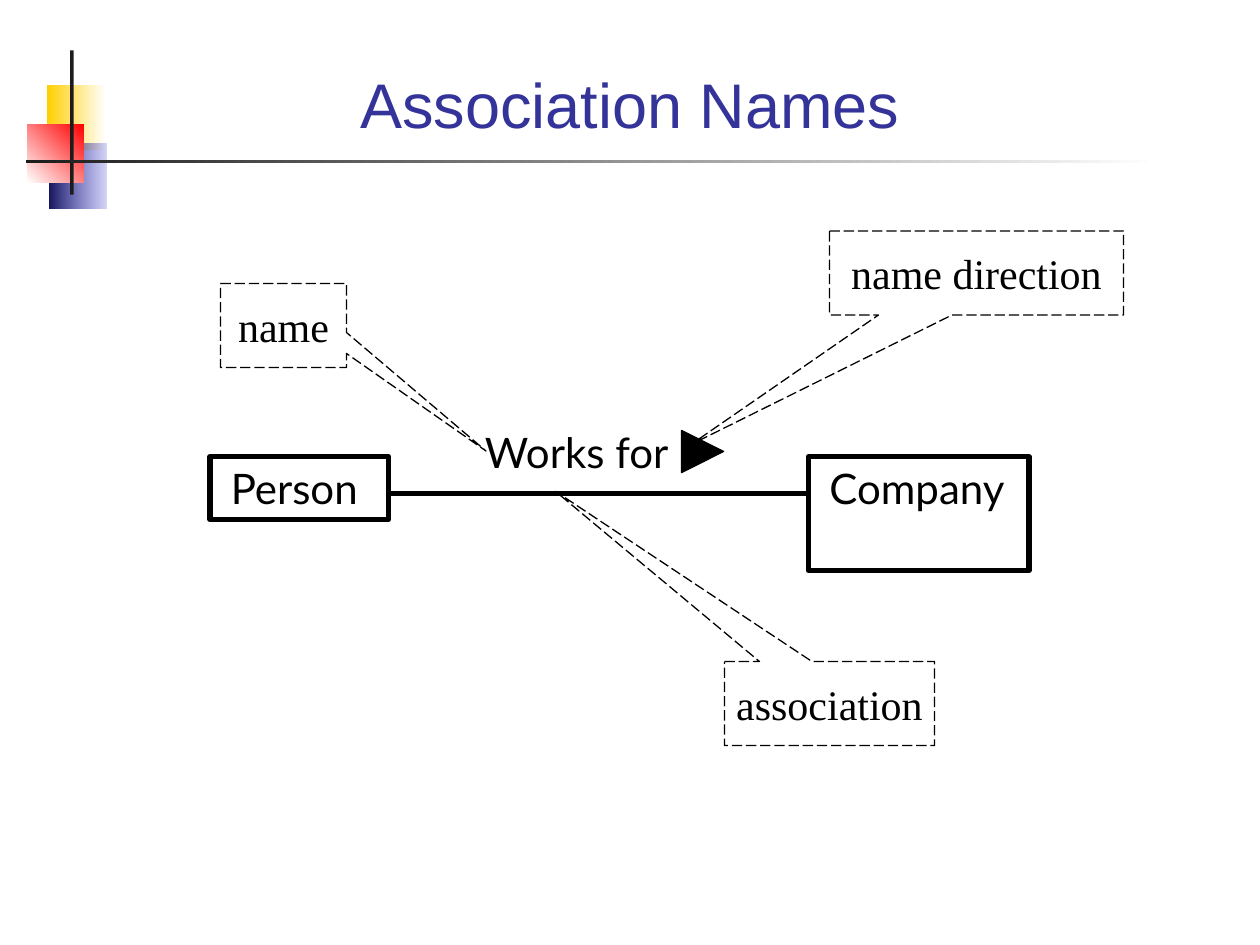
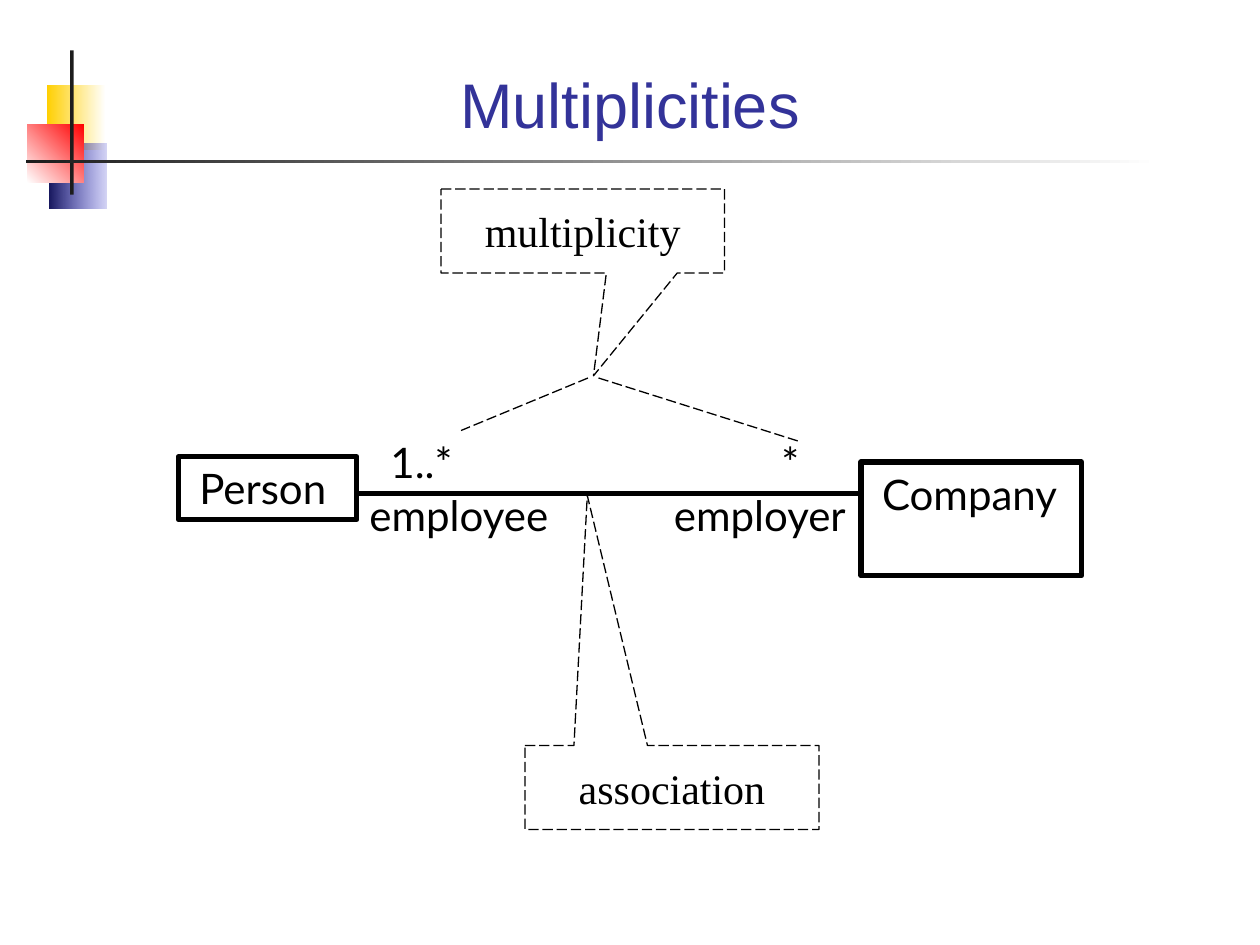
import pptx
import pptx.dml.color
import pptx.enum.dml
import pptx.enum.shapes
import pptx.enum.text
import pptx.oxml.ns
import pptx.util
from lxml import etree

Pt = pptx.util.Pt
SHAPES = pptx.enum.shapes.MSO_SHAPE
ANCHORS = pptx.enum.text.MSO_ANCHOR
ALIGN = pptx.enum.text.PP_ALIGN
DASH = pptx.enum.dml.MSO_LINE.LONG_DASH
qn = pptx.oxml.ns.qn

BLACK, TITLE_BLUE, RULE_GREY = "000000", "333399", "1C1C1C"
THIN, THICK = 0.75, 3

# Left, top, width, height, start colour, end colour, angle
GRADIENT_BLOCKS = [
    (26.8, 48.5, 33.6, 37.2, "FFFFFF", "FFCF01", 180),
    (28.1, 81.8, 32.8, 37.6, "3333CC", "17175E", 180),
    (15.5, 71, 32.5, 33.4, "FF0000", "FFFFFF", 225),
]
VERTICAL_RULE = (40.1, 28.8, 2, 82.4, RULE_GREY, RULE_GREY, 180)
HORIZONTAL_RULE = (15, 91.2, 647.5, 1.9, "FFFFFF", RULE_GREY, 180)

# Callouts: text, left, top, width, pointer x and y
# Classes: text, left, top, width, height
# Labels: text, left, top, left inset
# Connectors: x1, y1, x2, y2, width
SLIDES = [
    {
        "title": ("Association Names", 69, 30, 582, 54),
        "callouts": [
            ("name", 126, 162, 72, 1.608, 1.495),
            ("association", 414, 378, 120, -1.305, -2.526),
            ("name direction", 474, 132, 168, -0.972, 2.044),
        ],
        "classes": [("Person", 120, 261, 102, 36), ("Company", 462, 261, 126, 65)],
        "connectors": [(222, 282, 462, 282, THICK)],
        "labels": [("Works for", 270, 240, 7.2)],
        "direction_arrows": [(389.5, 246, 24)],
    },
    {
        "title": ("Multiplicities", 48, 24, 624, 60),
        "callouts": [
            ("multiplicity", 252, 108, 162, 0.038, 1.724),
            ("association", 300, 426, 168, -0.288, -3.477),
        ],
        "classes": [("Person", 102, 261, 102, 36), ("Company", 492, 264, 126, 65)],
        "connectors": [
            (204, 282, 492, 282, THICK),
            (336, 216, 263.5, 246, THIN),
            (342, 216, 456, 252, THIN),
        ],
        "labels": [
            ("employee", 204, 276, 7.2),
            ("employer", 378, 276, 7.2),
            ("1..*", 216, 246, 7.2),
            ("*", 378, 246, 68.5),
        ],
        "direction_arrows": [],
    },
]


def rgb(value):
    return pptx.dml.color.RGBColor.from_string(value)


def write_text(shape, text, font="Lato", size=24, color=BLACK, align=ALIGN.LEFT,
               anchor=ANCHORS.TOP, wrap=True, left_inset=7.2):
    frame = shape.text_frame
    frame.word_wrap = wrap
    frame.vertical_anchor = anchor
    frame.margin_left = Pt(left_inset)
    frame.margin_right = Pt(7.2)
    frame.margin_top = frame.margin_bottom = Pt(3.6)
    paragraph = frame.paragraphs[0]
    paragraph.alignment = align
    run = paragraph.add_run()
    run.text = text
    run.font.name = font
    run.font.size = Pt(size)
    run.font.color.rgb = rgb(color)


presentation = pptx.Presentation()
presentation.slide_width, presentation.slide_height = Pt(720), Pt(540)

for content in SLIDES:
    slide = presentation.slides.add_slide(presentation.slide_layouts[6])
    shapes = slide.shapes

    for left, top, width, height, start, end, angle in [
        *GRADIENT_BLOCKS, VERTICAL_RULE, HORIZONTAL_RULE
    ]:
        block = shapes.add_shape(SHAPES.RECTANGLE, Pt(left), Pt(top), Pt(width), Pt(height))
        block.shadow.inherit = False
        block.line.fill.background()
        if start == end:
            block.fill.solid()
            block.fill.fore_color.rgb = rgb(start)
            continue
        block.fill.gradient()
        block.fill.gradient_angle = angle
        for stop, color in zip(block.fill.gradient_stops, (start, end)):
            stop.color.rgb = rgb(color)
        if start == "3333CC":
            start_color = block._element.spPr.find(".//" + qn("a:srgbClr"))
            etree.SubElement(start_color, qn("a:alpha"), val="20000")

    title, left, top, width, height = content["title"]
    title_box = shapes.add_textbox(Pt(left), Pt(top), Pt(width), Pt(height))
    write_text(title_box, title, font="Arial", size=36, color=TITLE_BLUE,
               align=ALIGN.CENTER, anchor=ANCHORS.BOTTOM)

    for text, left, top, width, pointer_x, pointer_y in content["callouts"]:
        callout = shapes.add_shape(SHAPES.RECTANGULAR_CALLOUT, Pt(left), Pt(top), Pt(width), Pt(48))
        callout.adjustments[0] = pointer_x
        callout.adjustments[1] = pointer_y
        callout.shadow.inherit = False
        callout.fill.background()
        callout.line.color.rgb = rgb(BLACK)
        callout.line.width = Pt(THIN)
        callout.line.dash_style = DASH
        write_text(callout, text, font="Times New Roman", align=ALIGN.CENTER,
                   anchor=ANCHORS.MIDDLE, wrap=False)

    for text, left, top, width, height in content["classes"]:
        class_box = shapes.add_shape(SHAPES.RECTANGLE, Pt(left), Pt(top), Pt(width), Pt(height))
        class_box.shadow.inherit = False
        class_box.fill.background()
        class_box.line.color.rgb = rgb(BLACK)
        class_box.line.width = Pt(THICK)
        write_text(class_box, text, left_inset=12)

    for x1, y1, x2, y2, width in content["connectors"]:
        connector = shapes.add_connector(
            pptx.enum.shapes.MSO_CONNECTOR.STRAIGHT, Pt(x1), Pt(y1), Pt(x2), Pt(y2))
        connector.line.color.rgb = rgb(BLACK)
        connector.line.width = Pt(width)
        if width == THIN:
            connector.line.dash_style = DASH
        etree.SubElement(connector._element.spPr, qn("a:effectLst"))

    for text, left, top, left_inset in content["labels"]:
        label = shapes.add_textbox(Pt(left), Pt(top), Pt(132), Pt(36))
        write_text(label, text, left_inset=left_inset)

    for left, top, side in content["direction_arrows"]:
        arrow = shapes.add_shape(SHAPES.ISOSCELES_TRIANGLE, Pt(left), Pt(top), Pt(side), Pt(side))
        arrow.rotation = 90
        arrow.shadow.inherit = False
        arrow.fill.solid()
        arrow.fill.fore_color.rgb = rgb(BLACK)
        arrow.line.color.rgb = rgb(BLACK)
        arrow.line.width = Pt(THIN)

presentation.save("out.pptx")
